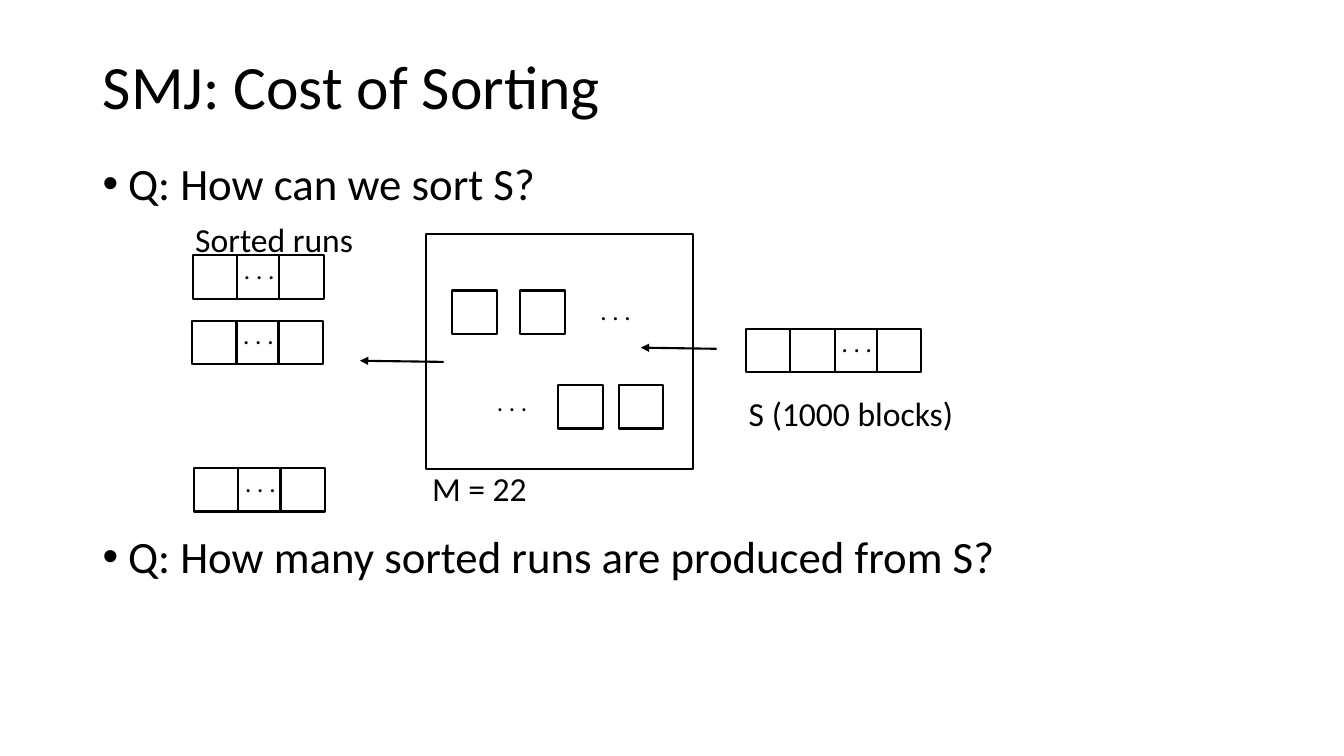
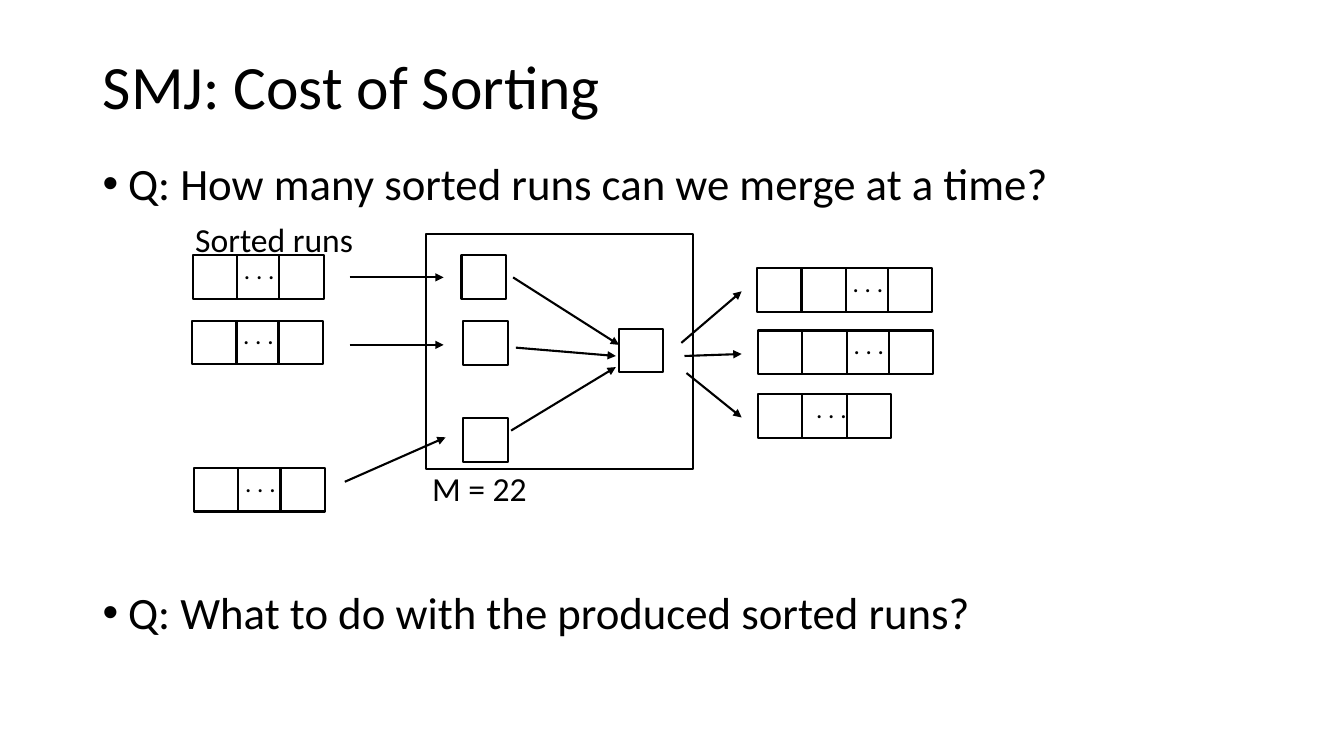
"""Build two slides on the cost of sorting in a sort-merge join."""
from dataclasses import dataclass

from lxml.etree import SubElement
from pptx import Presentation
from pptx.dml.color import RGBColor
from pptx.enum.shapes import MSO_CONNECTOR, MSO_SHAPE
from pptx.enum.text import MSO_ANCHOR
from pptx.oxml.ns import qn
from pptx.shapes.autoshape import Shape
from pptx.slide import Slide
from pptx.text.text import _Paragraph as Paragraph
from pptx.util import Cm, Pt


@dataclass(frozen=True)
class Theme:
    font: str = "Calibri"
    ink: RGBColor = RGBColor(0, 0, 0)
    paper: RGBColor = RGBColor(255, 255, 255)
    title_size: int = 44
    body_size: int = 32
    label_size: int = 24
    dots_size: int = 18
    line_width: float = 1.5
    line_spacing: float = 0.9


@dataclass(frozen=True)
class Block:
    left: float
    top: float
    width: float = 1.12
    height: float = 1.1
    filled: bool = False


@dataclass(frozen=True)
class Run:
    left: float
    top: float
    cells: int = 3
    last_step: float = 1.06
    dots_shift: float = -0.08


@dataclass(frozen=True)
class Label:
    text: str
    left: float
    top: float
    width: float


@dataclass(frozen=True)
class Dots:
    left: float
    top: float


@dataclass(frozen=True)
class Arrow:
    begin_x: float
    begin_y: float
    end_x: float
    end_y: float


@dataclass(frozen=True)
class SortingSlide:
    questions: tuple[str, str]
    question_gap: int
    blocks: tuple[Block, ...]
    runs: tuple[Run, ...]
    arrows: tuple[Arrow, ...]
    labels: tuple[Label, ...] = ()
    dots: tuple[Dots, ...] = ()


THEME = Theme()
TITLE = "SMJ: Cost of Sorting"
CELL_STEP = 1.12
MEMORY = Block(10.74, 5.89, 6.73, 5.92)
SORTED_RUNS = (Run(4.86, 6.43), Run(4.84, 8.08), Run(4.89, 11.79))
SHARED_LABELS = (
    Label("Sorted runs", 4.67, 5.38, 4.52),
    Label("M = 22", 10.64, 11.66, 2.92),
)
SLIDES = (
    SortingSlide(
        questions=(
            "Q: How can we sort S?",
            "Q: How many sorted runs are produced from S?",
        ),
        question_gap=232,
        blocks=(
            Block(11.4, 7.32),
            Block(13.11, 7.32),
            Block(14.07, 9.7),
            Block(15.6, 9.7),
        ),
        runs=(Run(18.8, 8.28, cells=4),),
        arrows=(
            Arrow(11.18, 9.12, 9.07, 9.09),
            Arrow(18.06, 8.79, 16.15, 8.76),
        ),
        labels=(Label("S (1000 blocks)", 18.62, 9.78, 5.69),),
        dots=(Dots(14.88, 7.32), Dots(12.27, 9.6)),
    ),
    SortingSlide(
        questions=(
            "Q: How many sorted runs can we merge at a time?",
            "Q: What to do with the produced sorted runs?",
        ),
        question_gap=272,
        blocks=(
            Block(11.63, 6.43),
            Block(11.68, 8.1),
            Block(11.68, 10.54),
            Block(15.6, 8.28),
        ),
        runs=(
            Run(19.08, 6.76, cells=4),
            Run(19.1, 8.33, cells=4),
            Run(19.1, 9.93, last_step=CELL_STEP, dots_shift=0.1),
        ),
        arrows=(
            Arrow(8.81, 6.99, 11.18, 6.99),
            Arrow(8.81, 8.69, 11.18, 8.69),
            Arrow(8.69, 12.14, 11.23, 11.02),
            Arrow(12.93, 6.99, 15.6, 8.69),
            Arrow(13, 8.76, 15.52, 8.97),
            Arrow(12.88, 10.85, 15.52, 9.25),
            Arrow(17.17, 8.64, 18.69, 7.34),
            Arrow(17.25, 8.97, 18.69, 8.92),
            Arrow(17.3, 9.4, 18.69, 10.52),
        ),
    ),
)


def format_paragraph(paragraph: Paragraph, size: int) -> None:
    for run in paragraph.runs:
        run.font.name = THEME.font
        run.font.size = Pt(size)
        run.font.color.rgb = THEME.ink


def add_text(slide: Slide, text: str, size: int, left: float, top: float,
             width: float, height: float, wrap: bool = False) -> Shape:
    shape = slide.shapes.add_textbox(Cm(left), Cm(top), Cm(width), Cm(height))
    shape.text_frame.word_wrap = wrap
    shape.text_frame.text = text
    for paragraph in shape.text_frame.paragraphs:
        format_paragraph(paragraph, size)
    return shape


def add_title(slide: Slide) -> None:
    shape = add_text(slide, TITLE, THEME.title_size, 2.34, 1.02, 29.21, 2.46, wrap=True)
    shape.text_frame.vertical_anchor = MSO_ANCHOR.MIDDLE
    shape.text_frame.paragraphs[0].line_spacing = THEME.line_spacing


def add_bullet(paragraph: Paragraph) -> None:
    properties = paragraph._p.get_or_add_pPr()
    properties.set("marL", str(Cm(0.64)))
    properties.set("indent", str(-Cm(0.64)))
    SubElement(properties, qn("a:buFont")).set("typeface", "Arial")
    SubElement(properties, qn("a:buChar")).set("char", "•")


def add_questions(slide: Slide, content: SortingSlide) -> None:
    shape = add_text(slide, "\n".join(content.questions), THEME.body_size,
                     2.34, 3.94, 29.21, 14.3, wrap=True)
    for paragraph in shape.text_frame.paragraphs:
        paragraph.line_spacing = THEME.line_spacing
        add_bullet(paragraph)
    shape.text_frame.paragraphs[1].space_before = Pt(content.question_gap)


def add_block(slide: Slide, block: Block) -> None:
    shape = slide.shapes.add_shape(MSO_SHAPE.RECTANGLE, Cm(block.left), Cm(block.top),
                                   Cm(block.width), Cm(block.height))
    shape.shadow.inherit = False
    if block.filled:
        shape.fill.solid()
        shape.fill.fore_color.rgb = THEME.paper
    else:
        shape.fill.background()
    shape.line.color.rgb = THEME.ink
    shape.line.width = Pt(THEME.line_width)


def add_dots(slide: Slide, dots: Dots) -> None:
    add_text(slide, ". . .", THEME.dots_size, dots.left, dots.top, 1.3, 1.02)


def add_run(slide: Slide, run: Run) -> None:
    dots_cell = run.left + (run.cells - 2) * CELL_STEP
    lefts = [run.left + index * CELL_STEP for index in range(run.cells - 1)]
    for left in (*lefts, dots_cell + run.last_step):
        add_block(slide, Block(left, run.top, filled=True))
    add_dots(slide, Dots(dots_cell + run.dots_shift, run.top - 0.15))


def add_arrow(slide: Slide, arrow: Arrow) -> None:
    connector = slide.shapes.add_connector(
        MSO_CONNECTOR.STRAIGHT, Cm(arrow.begin_x), Cm(arrow.begin_y),
        Cm(arrow.end_x), Cm(arrow.end_y))
    connector.line.color.rgb = THEME.ink
    connector.line.width = Pt(THEME.line_width)
    SubElement(connector.line._get_or_add_ln(), qn("a:tailEnd")).set("type", "triangle")
    SubElement(connector._element.spPr, qn("a:effectLst"))


def add_sorting_slide(presentation: Presentation, content: SortingSlide) -> None:
    slide = presentation.slides.add_slide(presentation.slide_layouts[6])
    add_questions(slide, content)
    add_title(slide)
    for block in (MEMORY, *content.blocks):
        add_block(slide, block)
    for run in SORTED_RUNS + content.runs:
        add_run(slide, run)
    for dots in content.dots:
        add_dots(slide, dots)
    for label in SHARED_LABELS + content.labels:
        add_text(slide, label.text, THEME.label_size, label.left, label.top, label.width, 1.27)
    for arrow in content.arrows:
        add_arrow(slide, arrow)


def main() -> None:
    presentation = Presentation()
    presentation.slide_width = Cm(33.87)
    presentation.slide_height = Cm(19.05)
    for content in SLIDES:
        add_sorting_slide(presentation, content)
    presentation.save("out.pptx")


if __name__ == "__main__":
    main()
